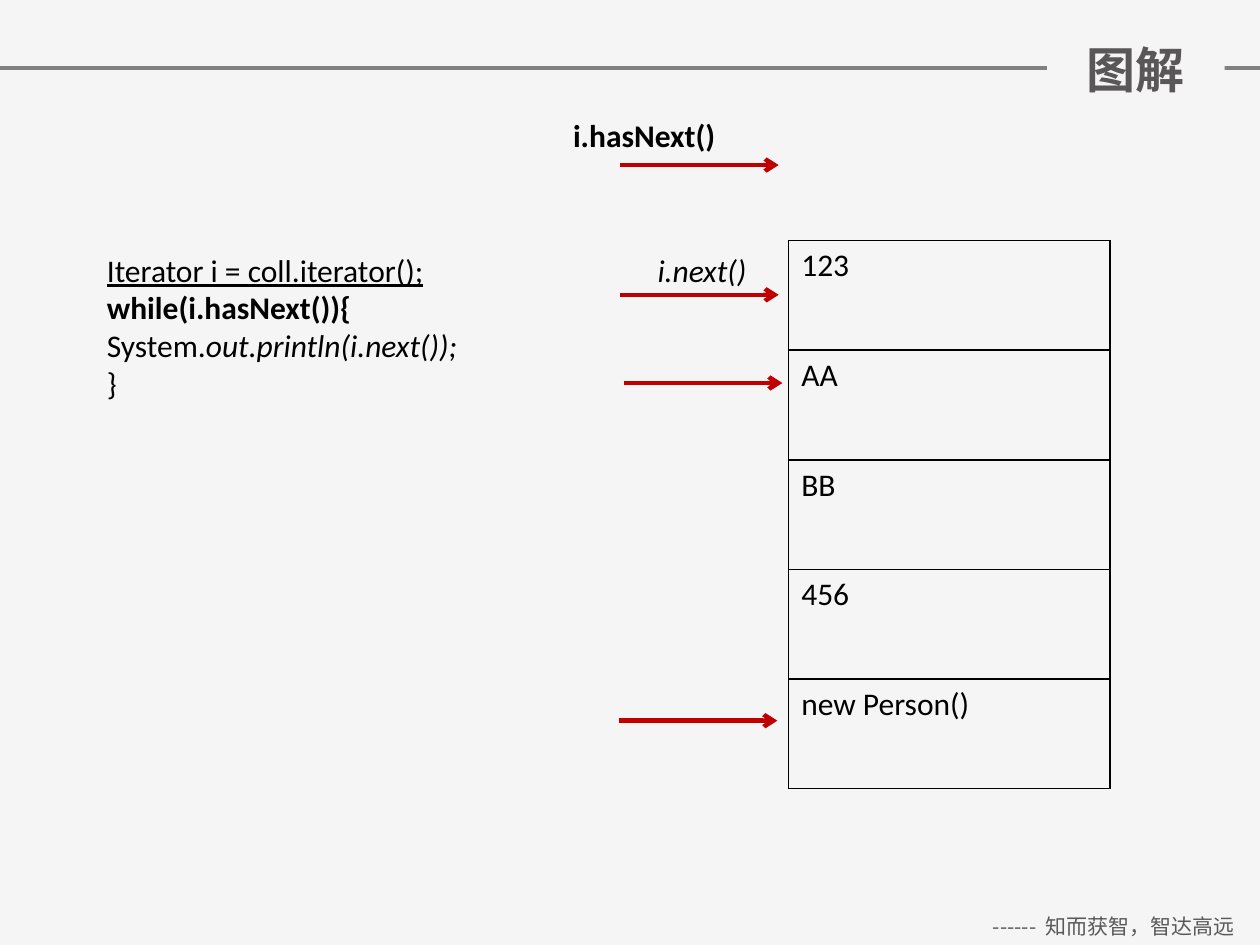
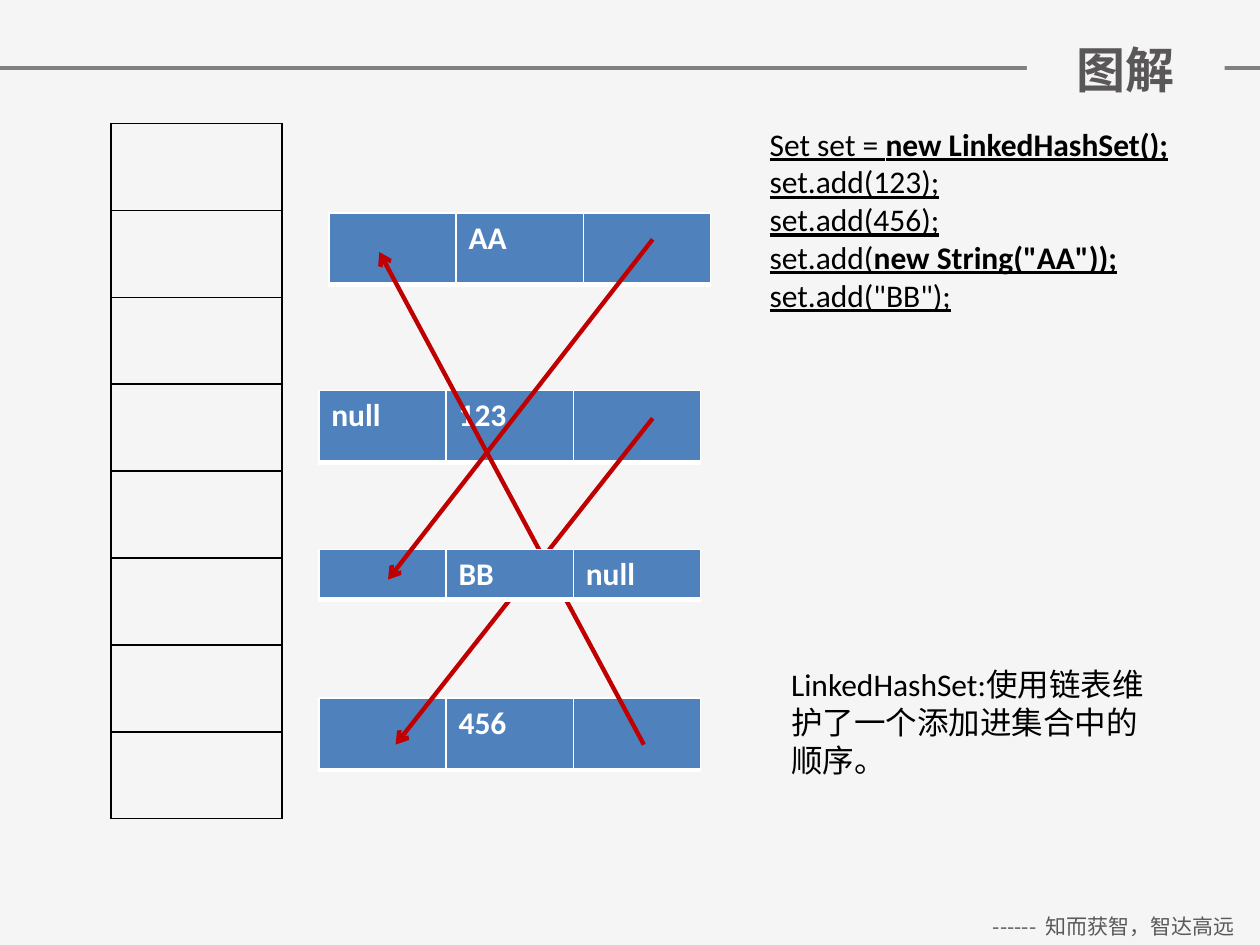
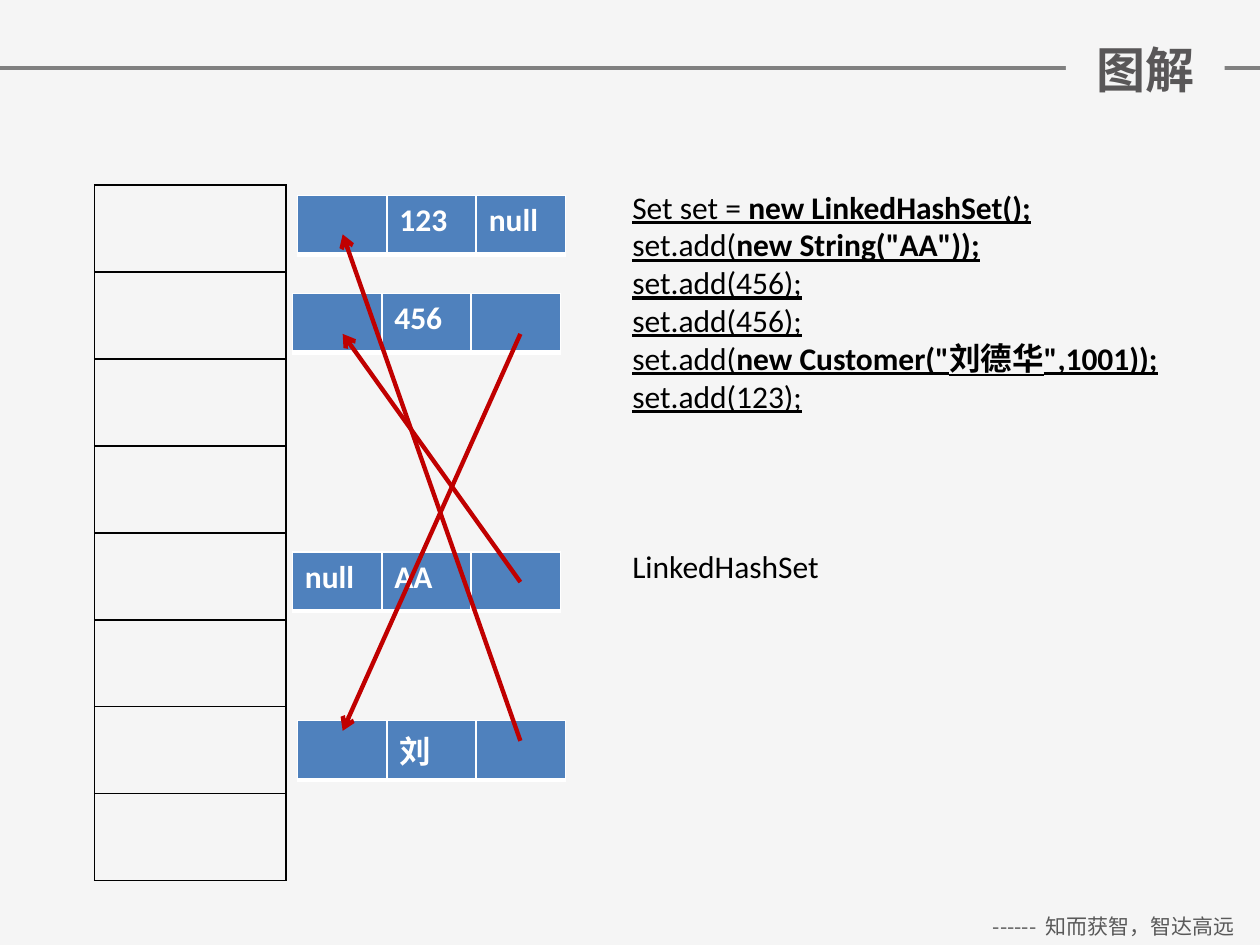
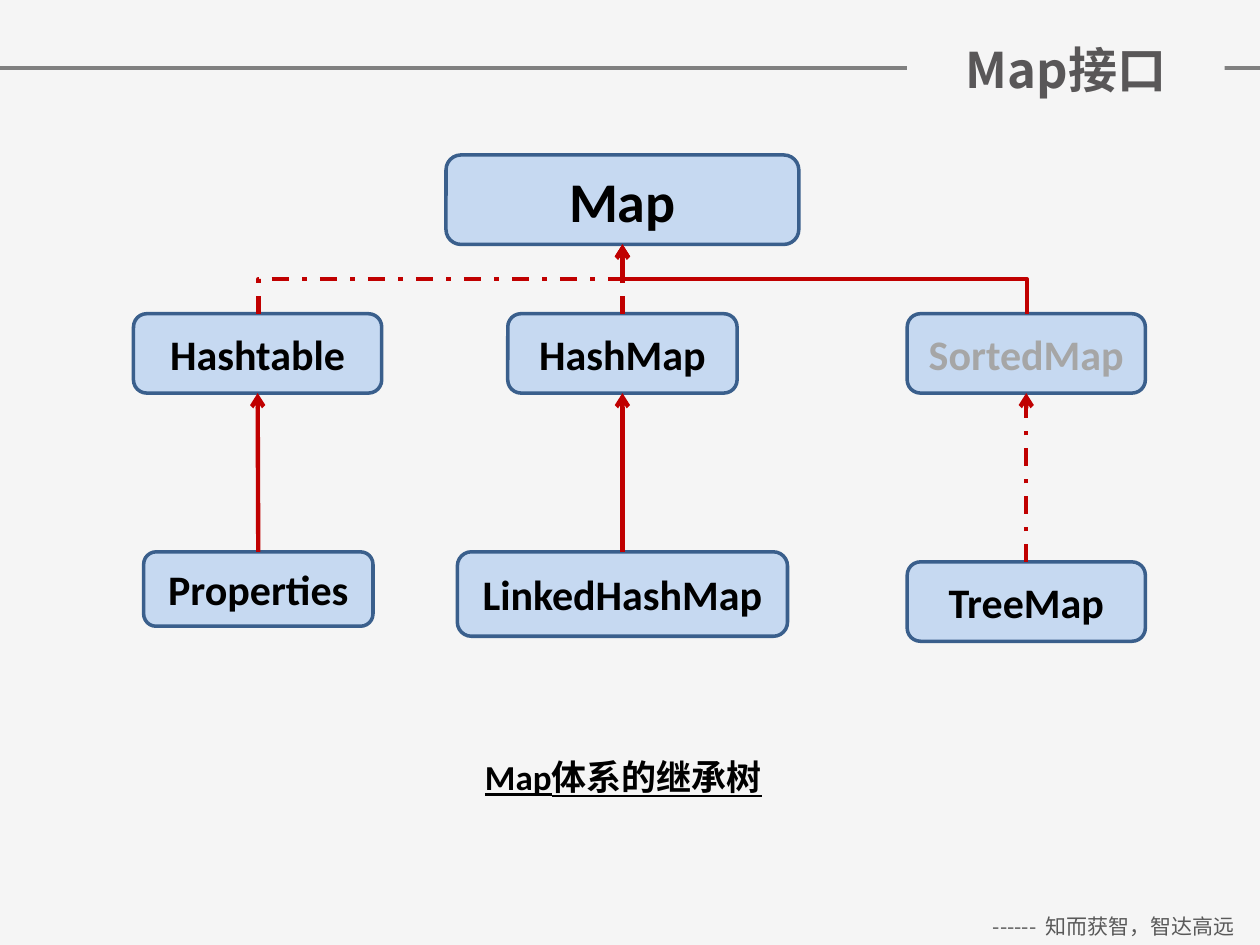
import dataclasses

import lxml.etree
import pptx
import pptx.dml.color
import pptx.enum.dml
import pptx.enum.shapes
import pptx.enum.text
import pptx.oxml.ns
import pptx.util

Inches = pptx.util.Inches
Pt = pptx.util.Pt
RGB = pptx.dml.color.RGBColor.from_string
qn = pptx.oxml.ns.qn
ALIGN = pptx.enum.text.PP_ALIGN
AUTO_SIZE = pptx.enum.text.MSO_AUTO_SIZE
CONNECTOR = pptx.enum.shapes.MSO_CONNECTOR


@dataclasses.dataclass(frozen=True)
class Theme:
    background: str = "F5F5F5"
    rule: str = "808080"
    title: str = "595758"
    footer: str = "595959"
    text: str = "000000"
    faded: str = "A6A6A6"
    light: str = "FFFFFF"
    arrow: str = "C00000"
    node: str = "4F81BD"
    box: str = "C6D9F1"
    box_line: str = "3A5F8C"
    latin: str = "Calibri"
    chinese: str = "Noto Sans CJK SC"
    title_size: int = 28
    root_size: int = 32
    box_size: int = 24
    caption_size: int = 20
    body_size: int = 18
    footer_size: int = 12


theme = Theme()


def write(frame, paragraphs, size=theme.body_size, color=theme.text,
          font=theme.latin, align=None):
    """Write paragraphs of (text, style) runs; style letters are b, i and u."""
    for number, runs in enumerate(paragraphs):
        paragraph = frame.add_paragraph() if number else frame.paragraphs[0]
        paragraph.alignment = align
        for text, style in runs:
            run = paragraph.add_run()
            run.text = text
            run.font.name = font
            run.font.size = Pt(size)
            run.font.color.rgb = RGB(color)
            run.font.bold = "b" in style
            run.font.italic = "i" in style
            run.font.underline = "u" in style


def add_line(slide, start, end, color=theme.arrow, width=2.5, arrow=True,
             dashed=False, kind=CONNECTOR.STRAIGHT):
    line = slide.shapes.add_connector(kind, *map(Inches, start + end))
    line.line.color.rgb = RGB(color)
    line.line.width = Pt(width)
    if dashed:
        line.line.dash_style = pptx.enum.dml.MSO_LINE.DASH_DOT
    properties = line.element.spPr
    if arrow:
        lxml.etree.SubElement(properties.find(qn("a:ln")), qn("a:tailEnd"), type="arrow")
    lxml.etree.SubElement(properties, qn("a:effectLst"))
    return line


presentation = pptx.Presentation()
presentation.slide_width = Inches(10)
presentation.slide_height = Inches(7.5)

# Shared background and title layout
layout = presentation.slide_layouts[5]
background = presentation.slide_master.background.fill
background.solid()
background.fore_color.rgb = RGB(theme.background)

# Slides with their titles, which interrupt the rule behind them
slides = []
for title_text, title_left in [("图解", 8.31), ("图解", 8.15), ("图解", 8.46), ("Map接口", 7.2)]:
    slide = presentation.slides.add_slide(layout)
    title = slide.shapes.title
    title.left, title.top = Inches(title_left), Inches(0.26)
    title.width, title.height = Inches(9.72 - title_left), Inches(0.57)
    title.fill.solid()
    title.fill.fore_color.rgb = RGB(theme.background)
    title.text_frame.auto_size = AUTO_SIZE.NONE
    title.text_frame.vertical_anchor = pptx.enum.text.MSO_ANCHOR.MIDDLE
    write(title.text_frame, [[(title_text, "b")]], theme.title_size, theme.title,
          theme.chinese, ALIGN.CENTER)
    slides.append(slide)
iterator_slide, hash_set_slide, customer_slide, map_slide = slides

# Header rule and footer, made once and moved to the layout
rule = add_line(iterator_slide, (0, 0.54), (10, 0.54), theme.rule, 2, arrow=False)
footer = iterator_slide.shapes.add_textbox(Inches(7.68), Inches(7.2), Inches(2.32), Inches(0.3))
footer.text_frame.word_wrap = True
write(footer.text_frame, [[("------  知而获智，智达高远", "")]], theme.footer_size,
      theme.footer, theme.chinese, ALIGN.CENTER)
for shape in (rule, footer):
    layout.shapes.element.append(shape.element)

# Code and captions: slide, box, size, wrap, paragraphs
texts = [
    (iterator_slide, (0.75, 1.94, 3.15, 1.31), theme.body_size, True, [
        [("Iterator i = coll.iterator();", "u")],
        [("while(i.hasNext()){", "b")],
        [("System.", ""), ("out.println(i.next());", "i")],
        [("}", "")]]),
    (iterator_slide, (4.45, 0.87, 1.34, 0.4), theme.body_size, False, [[("i.hasNext()", "b")]]),
    (iterator_slide, (5.12, 1.94, 0.92, 0.4), theme.body_size, False, [[("i.next()", "i")]]),
    (hash_set_slide, (6.01, 0.94, 3.56, 1.62), theme.body_size, True, [
        [("Set set = ", "u"), ("new LinkedHashSet();", "bu")],
        [("set.add(123);", "u")],
        [("set.add(456);", "u")],
        [("set.add(", "u"), ('new String("AA"));', "bu")],
        [('set.add("BB");', "u")]]),
    (hash_set_slide, (6.18, 5.23, 3.15, 1.01), theme.body_size, True, [
        [("LinkedHashSet:使用链表维护了一个添加进集合中的顺序。", "")]]),
    (customer_slide, (4.92, 1.44, 5, 1.92), theme.body_size, True, [
        [("Set set = ", "u"), ("new LinkedHashSet();", "bu")],
        [("set.add(", "u"), ('new String("AA"));', "bu")],
        [("set.add(456);", "u")],
        [("set.add(456);", "u")],
        [("set.add(", "u"), ('new Customer("刘德华",1001));', "bu")],
        [("set.add(123);", "u")]]),
    (customer_slide, (4.92, 4.29, 3.7, 0.4), theme.body_size, True, [[("LinkedHashSet", "")]]),
    (map_slide, (3.75, 5.95, 2.62, 0.44), theme.caption_size, True, [[("Map体系的继承树", "bu")]]),
]
for slide, box, size, wrap, paragraphs in texts:
    textbox = slide.shapes.add_textbox(*map(Inches, box))
    textbox.text_frame.word_wrap = wrap
    textbox.text_frame.auto_size = AUTO_SIZE.SHAPE_TO_FIT_TEXT
    write(textbox.text_frame, paragraphs, size)

# Storage columns and linked nodes; each node may bring the arrow drawn over it
# slide, left, top, column width, row height, rows, arrow
empty_slots = [[""]] * 8
tables = [
    (iterator_slide, 6.26, 1.91, 2.55, 0.87,
     [["123"], ["AA"], ["BB"], ["456"], ["new Person()"]], None),
    (hash_set_slide, 0.88, 0.98, 1.36, 0.69, empty_slots, None),
    (hash_set_slide, 2.53, 3.1, 1.01, 0.57, [["null", "123", ""]], None),
    (hash_set_slide, 2.53, 5.54, 1.01, 0.57, [["", "456", ""]], ((5.18, 3.32), (3.14, 5.91))),
    (hash_set_slide, 2.61, 1.69, 1.01, 0.57, [["", "AA", ""]], ((5.11, 5.91), (3.01, 2))),
    (hash_set_slide, 2.53, 4.36, 1.01, 0.4, [["", "BB", "null"]], ((5.18, 1.9), (3.08, 4.6))),
    (customer_slide, 0.75, 1.47, 1.52, 0.69, empty_slots, None),
    (customer_slide, 2.32, 4.38, 0.71, 0.47, [["null", "AA", ""]], None),
    (customer_slide, 2.32, 2.33, 0.71, 0.47, [["", "456", ""]], ((4.13, 4.62), (2.72, 2.65))),
    (customer_slide, 2.36, 5.72, 0.71, 0.47, [["", "刘", ""]], ((4.13, 2.65), (2.72, 5.8))),
    (customer_slide, 2.36, 1.55, 0.71, 0.47, [["", "123", "null"]], ((4.13, 5.88), (2.72, 1.86))),
]
for slide, left, top, column_width, row_height, rows, arrow in tables:
    is_node = len(rows) == 1
    column_count = len(rows[0])
    table_frame = slide.shapes.add_table(
        len(rows), column_count, Inches(left), Inches(top),
        Inches(column_width * column_count), Inches(row_height * len(rows)))
    table = table_frame.table
    table.first_row = table.horz_banding = False
    for column in table.columns:
        column.width = Inches(column_width)
    for row, row_texts in zip(table.rows, rows):
        row.height = Inches(row_height)
        for cell, text in zip(row.cells, row_texts):
            if is_node:
                cell.fill.solid()
                cell.fill.fore_color.rgb = RGB(theme.node)
            else:
                cell.fill.background()
            if text:
                write(cell.text_frame, [[(text, "b" if is_node else "")]],
                      color=theme.light if is_node else theme.text)
    # Cell borders
    border_color = theme.light if is_node else theme.text
    for cell_properties in table_frame.element.iter(qn("a:tcPr")):
        for position, side in enumerate("LRTB"):
            border_width = 3 if is_node and side == "B" else 1
            border = lxml.etree.Element(qn("a:ln" + side), w=str(Pt(border_width)))
            fill = lxml.etree.SubElement(border, qn("a:solidFill"))
            lxml.etree.SubElement(fill, qn("a:srgbClr"), val=border_color)
            cell_properties.insert(position, border)
    if arrow:
        add_line(slide, *arrow)

# Iterator positions
for left, top in [(4.92, 1.31), (4.92, 2.34), (4.95, 3.04), (4.91, 5.72)]:
    add_line(iterator_slide, (left, top), (left + 1.26, top))

# Map family boxes
boxes = {}
for name, left, top, width, height in [
    ("Map", 3.54, 1.23, 2.8, 0.71),
    ("Hashtable", 1.06, 2.49, 1.97, 0.63),
    ("HashMap", 4.03, 2.49, 1.82, 0.63),
    ("SortedMap", 7.2, 2.49, 1.89, 0.63),
    ("Properties", 1.14, 4.38, 1.82, 0.59),
    ("LinkedHashMap", 3.63, 4.38, 2.62, 0.67),
    ("TreeMap", 7.2, 4.46, 1.89, 0.63),
]:
    box = map_slide.shapes.add_shape(
        pptx.enum.shapes.MSO_SHAPE.ROUNDED_RECTANGLE, *map(Inches, (left, top, width, height)))
    box.shadow.inherit = False
    box.fill.solid()
    box.fill.fore_color.rgb = RGB(theme.box)
    box.line.color.rgb = RGB(theme.box_line)
    box.line.width = Pt(2)
    box.text_frame.vertical_anchor = pptx.enum.text.MSO_ANCHOR.MIDDLE
    write(box.text_frame, [[(name, "b")]],
          theme.root_size if name == "Map" else theme.box_size,
          theme.faded if name == "SortedMap" else theme.text, align=ALIGN.CENTER)
    boxes[name] = box

# Straight inheritance arrows, joined top to bottom
for child, parent, dashed in [
    ("HashMap", "Map", True),
    ("Properties", "Hashtable", False),
    ("LinkedHashMap", "HashMap", False),
    ("TreeMap", "SortedMap", True),
]:
    line = add_line(map_slide, (0, 0), (1, 1), dashed=dashed)
    line.begin_connect(boxes[child], 0)
    line.end_connect(boxes[parent], 2)

# Elbow arrows up to Map: a quarter turn makes them leave the child vertically
root_x, root_bottom, child_top = 4.94, 1.94, 2.49
for child_x, side, turn, dashed in [(2.05, 1, 90, True), (8.15, -1, 270, False)]:
    center_x, center_y = (child_x + root_x) / 2, (child_top + root_bottom) / 2
    half_rise, half_run = (child_top - root_bottom) / 2, abs(root_x - child_x) / 2
    elbow = add_line(
        map_slide,
        (center_x + side * half_rise, center_y + half_run),
        (center_x - side * half_rise, center_y - half_run),
        dashed=dashed, kind=CONNECTOR.ELBOW)
    elbow.element.spPr.find(qn("a:xfrm")).set("rot", str(turn * 60000))

# Chinese font for every run
for page in [layout, *slides]:
    for latin in list(page.element.iter(qn("a:latin"))):
        latin.addnext(lxml.etree.Element(qn("a:ea"), typeface=theme.chinese))

presentation.save("out.pptx")
